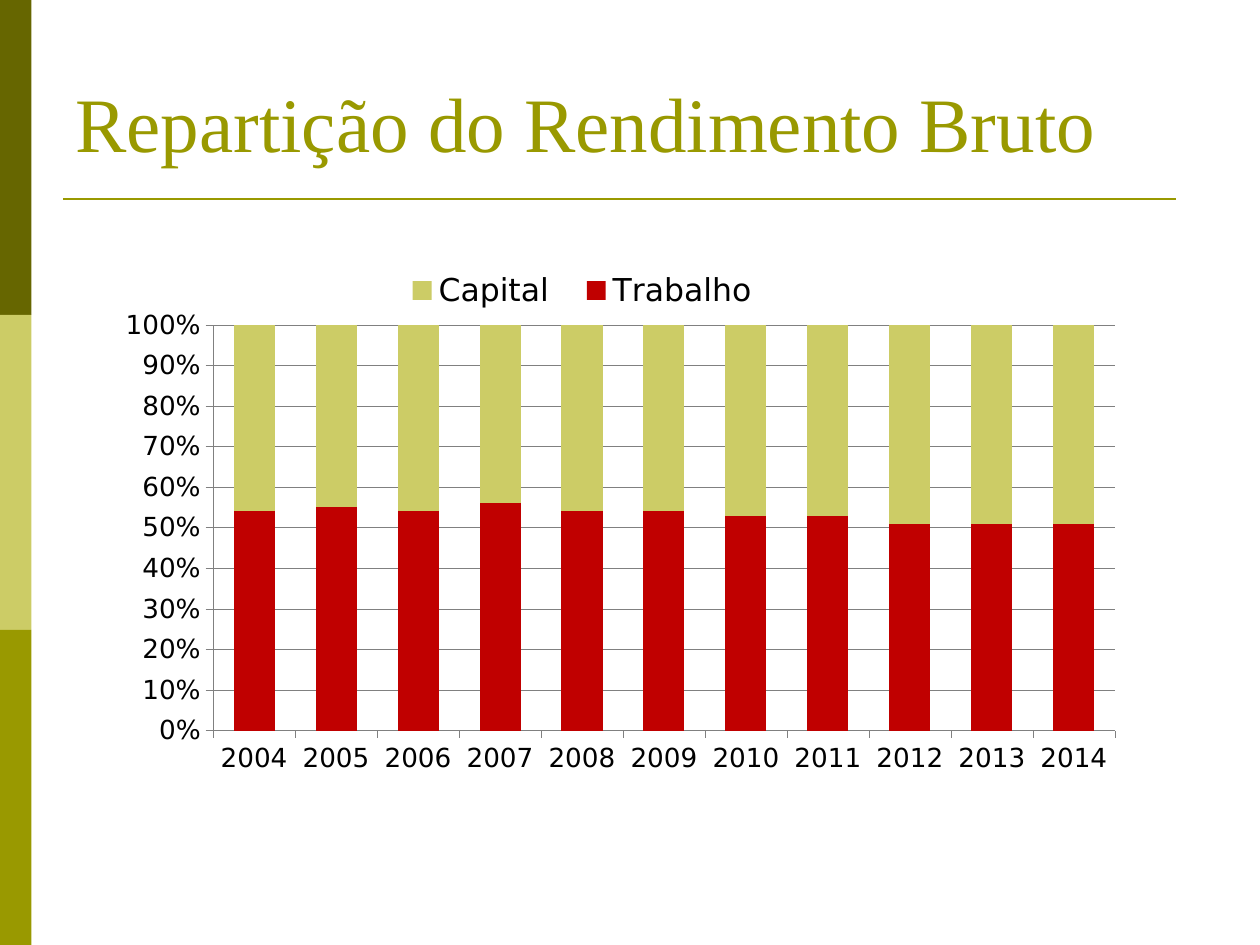
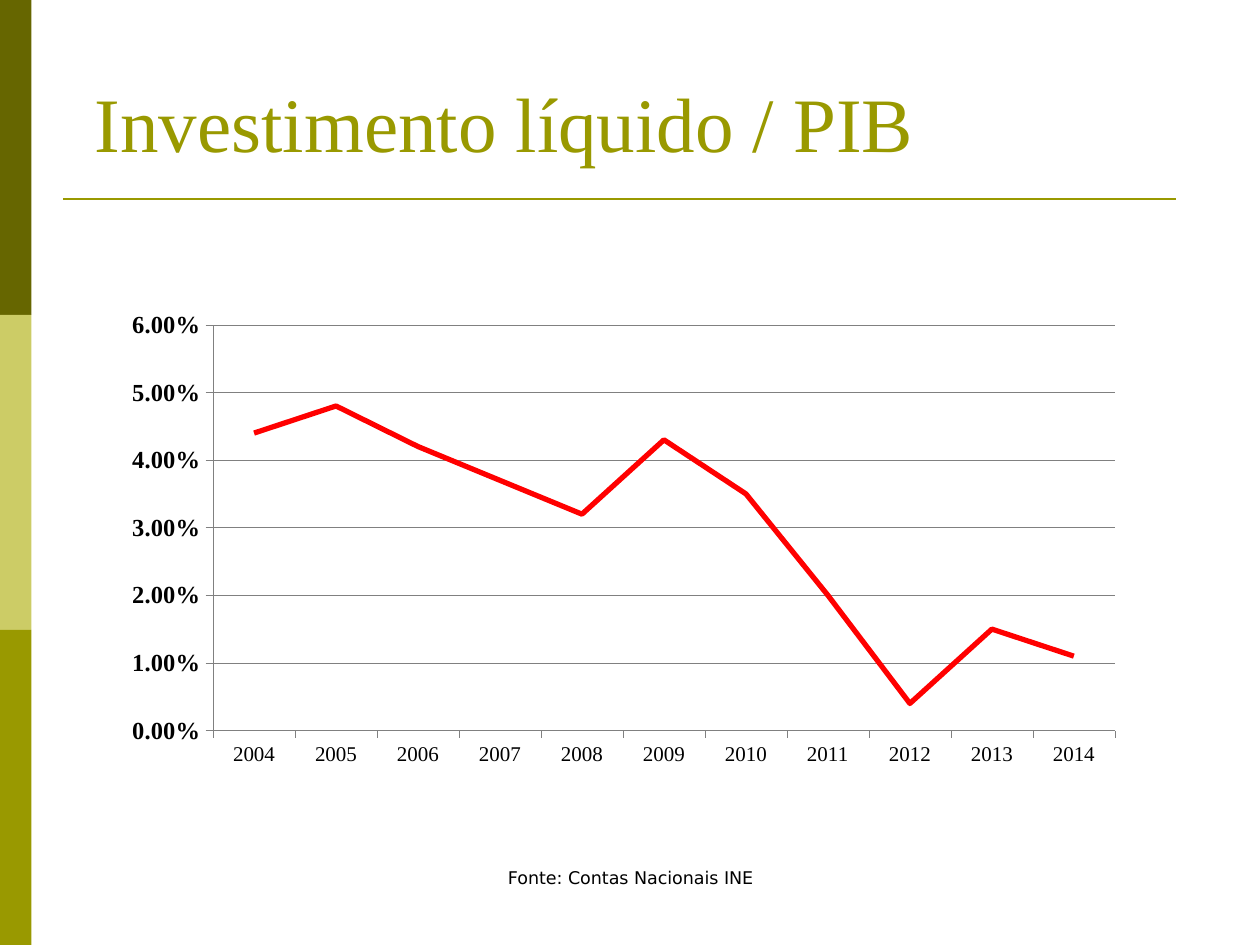
"""Builds two slides on income distribution and net investment."""
from dataclasses import dataclass

from lxml import etree
from pptx import Presentation
from pptx.chart.data import CategoryChartData
from pptx.dml.color import RGBColor
from pptx.enum import chart as charts, shapes, text
from pptx.oxml import ns
from pptx.util import Inches, Pt


@dataclass(frozen=True)
class Theme:
    """Colours, fonts and type sizes of the deck."""
    dark: str = "666600"
    light: str = "CCCC66"
    olive: str = "999900"
    labour: str = "C00000"
    investment: str = "FF0000"
    grid: str = "808080"
    ink: str = "000000"
    serif: str = "Times New Roman"
    sans: str = "DejaVu Sans"
    title_size: int = 44
    chart_size: int = 18
    share_axis_size: int = 15
    rate_axis_size: int = 14
    year_size: int = 12
    source_size: int = 10


THEME = Theme()
YEARS = [str(year) for year in range(2004, 2015)]
LABOUR = [54, 55, 54, 56, 54, 54, 53, 53, 51, 51, 51]
CAPITAL = [100 - share for share in LABOUR]
INVESTMENT = [0.044, 0.048, 0.042, 0.037, 0.032, 0.043, 0.035, 0.02, 0.004, 0.015, 0.011]
PLOT_AREA = {"x": 0.108, "y": 0.127, "w": 0.848, "h": 0.732}
LEGEND_AREA = {"x": 0.27, "y": 0.02, "w": 0.37, "h": 0.09}


def rgb(colour):
    """Return the colour object for a hex value."""
    return RGBColor.from_string(colour)


def style_font(font, name, size, colour=THEME.ink, bold=False):
    """Set face, size, colour and weight."""
    font.name, font.size, font.bold = name, Pt(size), bold
    font.color.rgb = rgb(colour)


def style_line(line, colour, width):
    """Set colour and width of a line."""
    line.color.rgb = rgb(colour)
    line.width = Pt(width)


def add_bands(slide):
    """Stack three equal bands down the left edge."""
    for row, colour in enumerate((THEME.dark, THEME.light, THEME.olive)):
        band = slide.shapes.add_shape(shapes.MSO_SHAPE.RECTANGLE, 0, Inches(2.5 * row),
                                      Inches(0.25), Inches(2.5))
        band.shadow.inherit = False
        band.fill.solid()
        band.fill.fore_color.rgb = rgb(colour)
        band.line.fill.background()


def add_title_rule(slide):
    """Draw the rule below the title."""
    rule = slide.shapes.add_connector(shapes.MSO_CONNECTOR.STRAIGHT, Inches(0.5), Inches(1.58),
                                      Inches(9.33), Inches(1.58))
    style_line(rule.line, THEME.olive, 1.5)
    etree.SubElement(rule._element.spPr, ns.qn("a:effectLst"))


def add_titled_slide(deck, heading):
    """Add a slide with bands, rule and title."""
    slide = deck.slides.add_slide(deck.slide_layouts[5])
    add_bands(slide)
    add_title_rule(slide)
    title = slide.shapes.title
    title.left, title.top, title.width, title.height = map(Inches, (0.5, 0.13, 9, 1.25))
    frame = title.text_frame
    frame.auto_size = text.MSO_AUTO_SIZE.NONE
    frame.vertical_anchor = text.MSO_ANCHOR.BOTTOM
    paragraph = frame.paragraphs[0]
    paragraph.alignment = text.PP_ALIGN.LEFT
    run = paragraph.add_run()
    run.text = heading
    style_font(run.font, THEME.serif, THEME.title_size, THEME.olive)
    return slide


def place_part(part, index, area, inner=False):
    """Give a chart part a manual layout as fractions of the chart."""
    for old in part.findall(ns.qn("c:layout")):
        part.remove(old)
    layout = etree.Element(ns.qn("c:layout"))
    manual = etree.SubElement(layout, ns.qn("c:manualLayout"))
    settings = {"layoutTarget": "inner"} if inner else {}
    settings.update(xMode="edge", yMode="edge", **area)
    for tag, value in settings.items():
        etree.SubElement(manual, ns.qn(f"c:{tag}")).set("val", str(value))
    part.insert(index, layout)


def style_axis(axis, font_name, size, bold=False):
    """Format an axis line, its ticks and its labels."""
    axis.major_tick_mark = charts.XL_TICK_MARK.OUTSIDE
    axis.minor_tick_mark = charts.XL_TICK_MARK.NONE
    style_line(axis.format.line, THEME.grid, 0.25)
    style_font(axis.tick_labels.font, font_name, size, bold=bold)


def add_year_chart(slide, kind, series, number_format):
    """Add a chart by year with the shared place, font and grid."""
    data = CategoryChartData()
    data.categories = YEARS
    for name, values in series.items():
        data.add_series(name, values)
    chart = slide.shapes.add_chart(kind, Inches(0.78), Inches(2.02), Inches(8.44), Inches(4.4),
                                   data).chart
    chart.has_title = False
    chart.has_legend = False
    style_font(chart.font, THEME.sans, THEME.chart_size)
    chart.plots[0].vary_by_categories = False
    place_part(chart._chartSpace.chart.plotArea, 0, PLOT_AREA, inner=True)
    rates = chart.value_axis
    rates.has_major_gridlines = True
    style_line(rates.major_gridlines.format.line, THEME.grid, 0.25)
    rates.tick_labels.number_format = number_format
    rates.tick_labels.number_format_is_linked = False
    return chart


def add_income_chart(slide):
    """Add the stacked shares of labour and capital."""
    chart = add_year_chart(slide, charts.XL_CHART_TYPE.COLUMN_STACKED_100,
                           {"Trabalho": LABOUR, "Capital": CAPITAL}, "0%")
    for axis in (chart.category_axis, chart.value_axis):
        style_axis(axis, THEME.sans, THEME.share_axis_size)
    shares = chart.plots[0]
    shares.gap_width, shares.overlap = 100, 100
    for share, colour in zip(shares.series, (THEME.labour, THEME.light)):
        share.format.fill.solid()
        share.format.fill.fore_color.rgb = rgb(colour)
    chart.has_legend = True
    chart.legend.position = charts.XL_LEGEND_POSITION.RIGHT
    chart.legend.include_in_layout = False
    style_font(chart.legend.font, THEME.sans, THEME.chart_size)
    place_part(chart.legend._element, 1, LEGEND_AREA)


def add_investment_chart(slide):
    """Add the line of net investment over GDP."""
    chart = add_year_chart(slide, charts.XL_CHART_TYPE.LINE,
                           {"Investimento líquido / PIB": INVESTMENT}, "0.00%")
    style_axis(chart.category_axis, THEME.serif, THEME.year_size)
    rates = chart.value_axis
    style_axis(rates, THEME.serif, THEME.rate_axis_size, bold=True)
    rates.minimum_scale, rates.maximum_scale, rates.major_unit = 0, 0.06, 0.01
    investment = chart.plots[0].series[0]
    investment.smooth = False
    style_line(investment.format.line, THEME.investment, 3)


def add_source(slide, source):
    """Add the centred source line at the foot."""
    frame = slide.shapes.add_textbox(Inches(3.42), Inches(6.83), Inches(3.17),
                                     Inches(0.5)).text_frame
    frame.word_wrap = True
    paragraph = frame.paragraphs[0]
    paragraph.alignment = text.PP_ALIGN.CENTER
    run = paragraph.add_run()
    run.text = source
    style_font(run.font, THEME.sans, THEME.source_size)


def main():
    """Build and save the deck."""
    deck = Presentation()
    deck.slide_width, deck.slide_height = Inches(10), Inches(7.5)
    add_income_chart(add_titled_slide(deck, "Repartição do Rendimento Bruto"))
    investment_slide = add_titled_slide(deck, " Investimento líquido / PIB")
    add_investment_chart(investment_slide)
    add_source(investment_slide, "Fonte: Contas Nacionais INE")
    deck.save("out.pptx")


if __name__ == "__main__":
    main()
